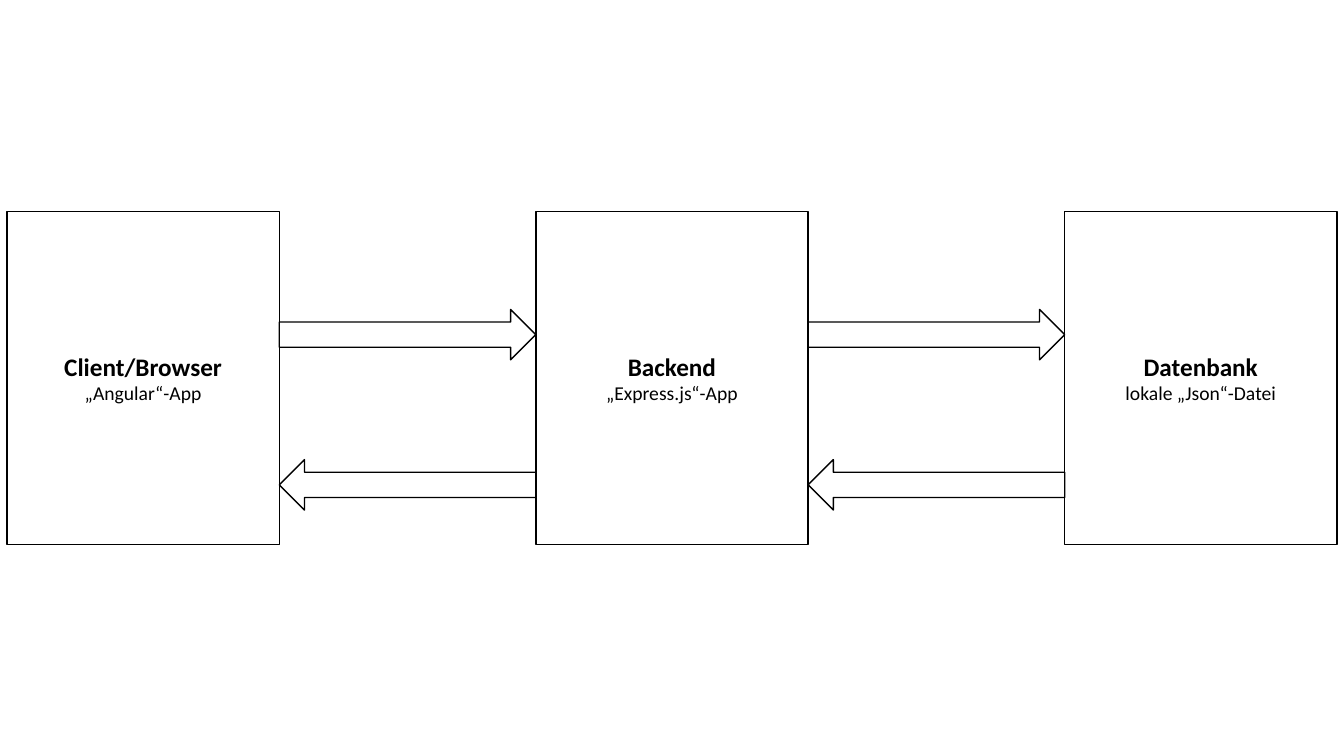
from pptx import Presentation
from pptx.dml.color import RGBColor
from pptx.enum import shapes, text
from pptx.util import Inches, Pt

TIERS = [
    ("Client/Browser", "„Angular“-App"),
    ("Backend", "„Express.js“-App"),
    ("Datenbank", "lokale „Json“-Datei"),
]
ARROWS = [(3.07, 0), (4.56, 180)]
COLORS = {"fill": "FFFFFF", "ink": "000000"}
FONT = "Calibri"
SLIDE_WIDTH, SLIDE_HEIGHT = 13.33, 7.5
MARGIN = 0.07
BOX_TOP, BOX_WIDTH, BOX_HEIGHT = 2.1, 2.7, 3.3
ARROW_HEIGHT = 0.5

pitch = (SLIDE_WIDTH - 2 * MARGIN - BOX_WIDTH) / (len(TIERS) - 1)
gap = pitch - BOX_WIDTH

presentation = Presentation()
presentation.slide_width = Inches(SLIDE_WIDTH)
presentation.slide_height = Inches(SLIDE_HEIGHT)
slide = presentation.slides.add_slide(presentation.slide_layouts[6])
diagram = slide.shapes.add_group_shape()


def add_outlined(kind, left, top, width, height):
    shape = diagram.shapes.add_shape(
        kind, Inches(left), Inches(top), Inches(width), Inches(height))
    shape.shadow.inherit = False
    shape.fill.solid()
    shape.fill.fore_color.rgb = RGBColor.from_string(COLORS["fill"])
    shape.line.color.rgb = RGBColor.from_string(COLORS["ink"])
    shape.line.width = Pt(1)
    return shape


def add_tier(left, lines):
    shape = add_outlined(shapes.MSO_SHAPE.RECTANGLE, left, BOX_TOP, BOX_WIDTH, BOX_HEIGHT)
    frame = shape.text_frame
    frame.text = "\n".join(lines)
    frame.word_wrap = True
    frame.vertical_anchor = text.MSO_ANCHOR.MIDDLE
    for paragraph, size, bold in zip(frame.paragraphs, (18, 14), (True, False)):
        paragraph.alignment = text.PP_ALIGN.CENTER
        font = paragraph.runs[0].font
        font.name, font.size, font.bold = FONT, Pt(size), bold
        font.color.rgb = RGBColor.from_string(COLORS["ink"])


for index, lines in enumerate(TIERS):
    add_tier(MARGIN + index * pitch, lines)

for top, rotation in ARROWS:
    for index in range(len(TIERS) - 1):
        left = MARGIN + BOX_WIDTH + index * pitch
        arrow = add_outlined(shapes.MSO_SHAPE.RIGHT_ARROW, left, top, gap, ARROW_HEIGHT)
        arrow.rotation = rotation

presentation.save("out.pptx")
